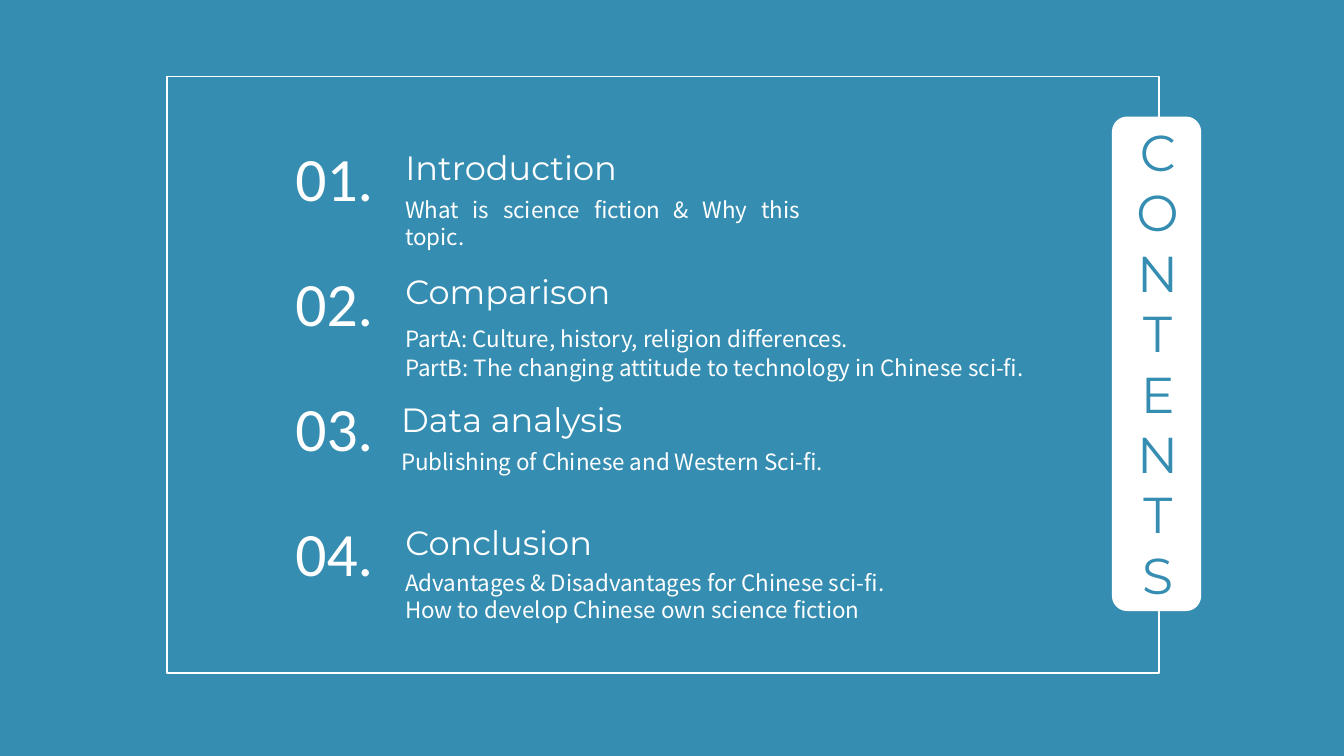
"""Build a contents slide with four numbered sections and a vertical heading."""
from dataclasses import dataclass

from pptx import Presentation
from pptx.dml.color import RGBColor as Rgb
from pptx.enum.shapes import MSO_SHAPE as Shape
from pptx.enum.text import MSO_AUTO_SIZE as AutoSize, PP_ALIGN as Align
from pptx.util import Pt

PX = 9525


@dataclass(frozen=True)
class Style:
    """Describe the look of one kind of text."""
    font: str
    size: int
    color: Rgb
    align: Align


class Theme:
    """Hold the colours and text styles of the slide."""
    blue = Rgb.from_string("358DB1")
    white = Rgb.from_string("FFFFFF")
    heading = Style("Montserrat", 36, blue, Align.CENTER)
    number = Style("Calibri", 44, white, Align.CENTER)
    title = Style("Montserrat", 24, white, Align.LEFT)
    detail = Style("Noto Sans CJK SC", 16, white, Align.JUSTIFY)


@dataclass(frozen=True)
class Section:
    """Describe a contents section and the offsets of its text."""
    title: str
    detail: str
    title_at: tuple
    detail_at: tuple
    detail_size: tuple
    spacing: float = 1.0


SECTIONS = [
    Section("Introduction", "What is science fiction & Why this topic.",
            (134, 7), (134, 54), (386, 36)),
    Section("Comparison",
            "PartA: Culture, history, religion differences.\n"
            "PartB: The changing attitude to technology in Chinese sci-fi.",
            (134, 6), (134, 55), (607, 66), 1.1),
    Section("Data analysis", "Publishing of Chinese and Western Sci-fi.",
            (130, 9), (130, 56), (465, 36)),
    Section("Conclusion",
            "Advantages & Disadvantages for Chinese sci-fi.\n"
            "How to develop Chinese own science fiction",
            (134, 7), (134, 52), (535, 61)),
]


def to_emu(*lengths):
    """Turn px lengths into EMU."""
    return [length * PX for length in lengths]


def add_text(slide, box, text, style, spacing=1.0):
    """Place wrapped text of one style in the box."""
    frame = slide.shapes.add_textbox(*to_emu(*box)).text_frame
    frame.word_wrap = True
    frame.auto_size = AutoSize.SHAPE_TO_FIT_TEXT
    frame.margin_left = frame.margin_right = 5 * PX
    frame.margin_top = frame.margin_bottom = 5 * PX
    frame.text = text
    for paragraph in frame.paragraphs:
        paragraph.alignment = style.align
        paragraph.line_spacing = spacing
        for run in paragraph.runs:
            run.font.name = style.font
            run.font.size = Pt(style.size)
            run.font.color.rgb = style.color


def add_border(slide, box):
    """Draw the thin white border in the box."""
    border = slide.shapes.add_shape(Shape.RECTANGLE, *to_emu(*box))
    border.shadow.inherit = False
    border.fill.background()
    border.line.color.rgb = Theme.white
    border.line.width = Pt(1)


def add_heading(slide, box):
    """Draw the rounded panel in the box, with its heading one letter a line."""
    left, top, width, height = box
    panel = slide.shapes.add_shape(Shape.ROUNDED_RECTANGLE, *to_emu(*box))
    panel.shadow.inherit = False
    panel.adjustments[0] = 0.17
    panel.fill.solid()
    panel.fill.fore_color.rgb = Theme.white
    panel.line.fill.background()
    letters = (left + 14, top - 1, width - 26, height + 4)
    add_text(slide, letters, "CONTENTS", Theme.heading)


def add_section(slide, box, number, section):
    """Place the number, title and detail of a section from the box's corner."""
    left, top, width, height = box
    title_x, title_y = section.title_at
    detail_x, detail_y = section.detail_at
    add_text(slide, (left, top, 143, height), f"{number:02}.", Theme.number)
    add_text(slide, (left + title_x, top + title_y, width - title_x, 48),
             section.title, Theme.title)
    add_text(slide, (left + detail_x, top + detail_y, *section.detail_size),
             section.detail, Theme.detail, section.spacing)


def add_sections(slide, box):
    """Stack the sections at an equal pitch in the box."""
    left, top, width, height = box
    pitch = height // len(SECTIONS)
    for index, section in enumerate(SECTIONS):
        row = (left, top + index * pitch, width, 81)
        add_section(slide, row, index + 1, section)


def main():
    """Build and save the contents slide."""
    deck = Presentation()
    deck.slide_width, deck.slide_height = to_emu(1280, 720)
    slide = deck.slides.add_slide(deck.slide_layouts[6])
    slide.background.fill.solid()
    slide.background.fill.fore_color.rgb = Theme.blue
    add_border(slide, (159, 73, 945, 568))
    add_heading(slide, (1059, 111, 85, 471))
    add_sections(slide, (247, 128, 400, 476))
    deck.save("out.pptx")


if __name__ == "__main__":
    main()
